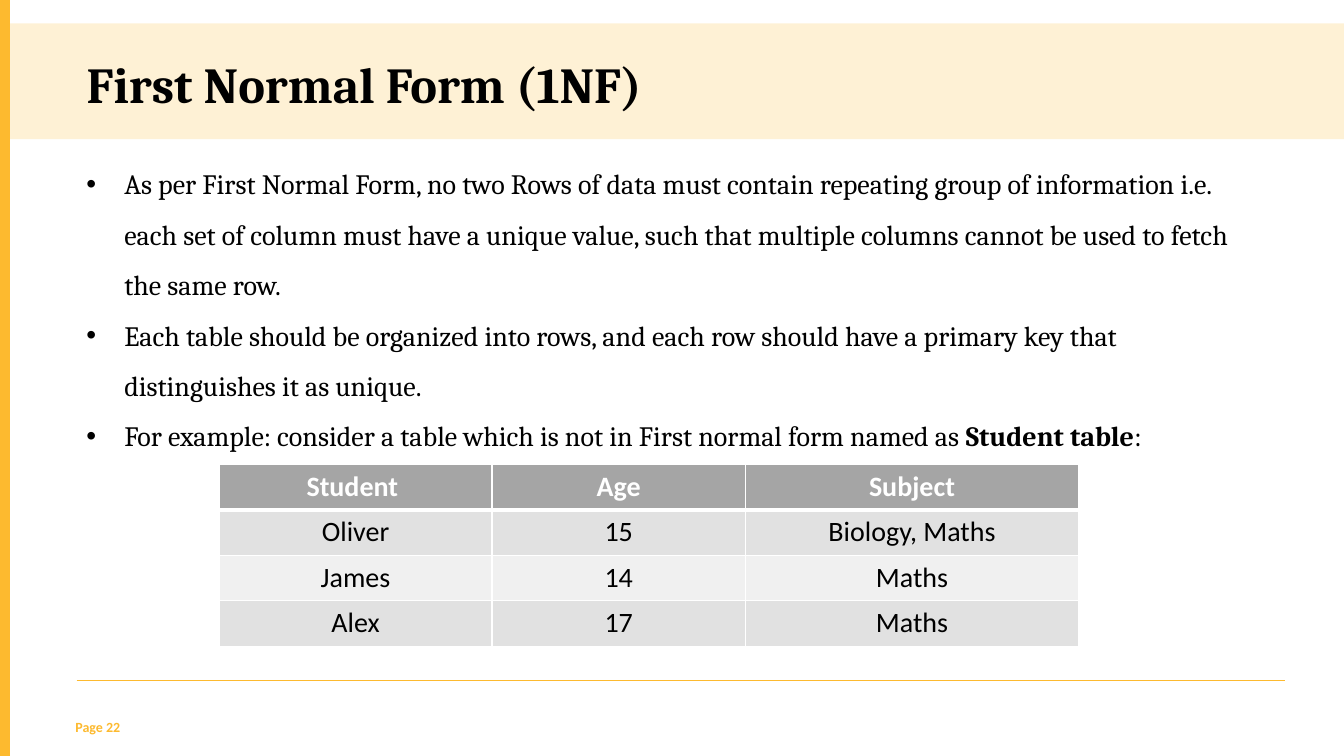
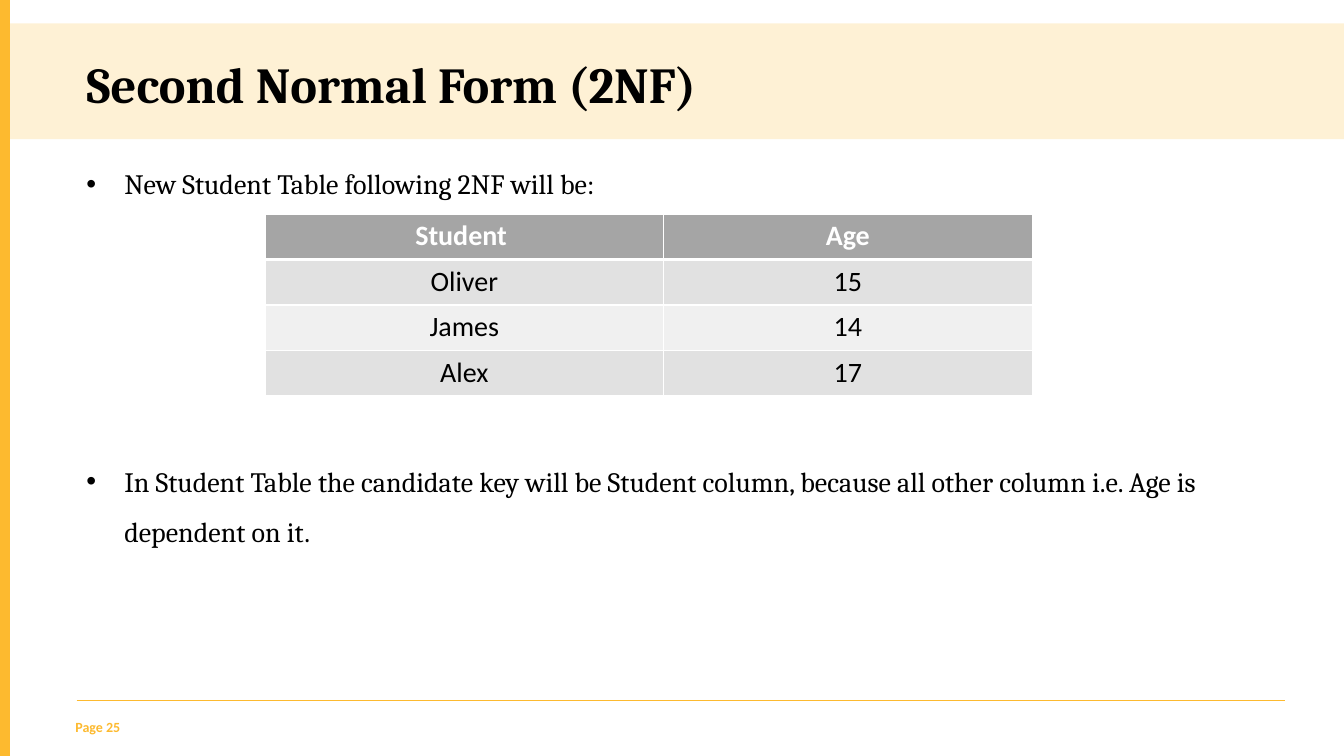
import pptx
import pptx.dml.color
import pptx.enum.shapes
import pptx.enum.text
import pptx.oxml
import pptx.oxml.ns
import pptx.util
from lxml import etree

Pt = pptx.util.Pt
qn = pptx.oxml.ns.qn

WIDTH, HEIGHT = 960, 540
LEFT = 54.7
INDENT = 27
ROW_HEIGHT = 32.4
GOLD, BLACK, WHITE = "FDBA2F", "000000", "FFFFFF"
HEADER_GREY, DARK_ROW, LIGHT_ROW = "A5A5A5", "E1E1E1", "F0F0F0"
SERIF, SANS = "Cambria", "Calibri"


def rgb(color):
    return pptx.dml.color.RGBColor.from_string(color)


class Deck:
    """Holds the shared style and the slide being built."""

    def __init__(self):
        self.prs = pptx.Presentation()
        self.prs.slide_width, self.prs.slide_height = Pt(WIDTH), Pt(HEIGHT)
        self.s = None

    def slide(self, title, page, rule_y):
        """Start a slide with its band, side bar, title and footer."""
        self.s = self.prs.slides.add_slide(self.prs.slide_layouts[6])
        self.rect(0, 16.6, WIDTH, 82.8, GOLD, opacity=20)
        self.rect(0, 0, 7, HEIGHT, GOLD)
        p = self.text(LEFT, 34.6, 589, 51).paragraphs[0]
        self.run(p, title, 36, SERIF, BLACK, True)
        p = self.text(46.8, 509.8, 57, 9.4).paragraphs[0]
        self.run(p, f"Page {page}", 10, SANS, GOLD, True)
        self.rule(rule_y)

    def rect(self, x, y, w, h, color, opacity=100):
        sp = self.s.shapes.add_shape(
            pptx.enum.shapes.MSO_SHAPE.RECTANGLE, Pt(x), Pt(y), Pt(w), Pt(h))
        sp.shadow.inherit = False
        sp.line.fill.background()
        sp.fill.solid()
        sp.fill.fore_color.rgb = rgb(color)
        if opacity < 100:
            clr = sp.fill._xPr.find(qn("a:solidFill"))[0]
            etree.SubElement(clr, qn("a:alpha"), val=str(opacity * 1000))

    def rule(self, y):
        line = self.s.shapes.add_connector(
            pptx.enum.shapes.MSO_CONNECTOR.STRAIGHT, Pt(LEFT), Pt(y), Pt(918), Pt(y))
        line.line.color.rgb = rgb(GOLD)
        line.line.width = Pt(0.5)
        etree.SubElement(line._element.spPr, qn("a:effectLst"))

    def text(self, x, y, w, h):
        tf = self.s.shapes.add_textbox(Pt(x), Pt(y), Pt(w), Pt(h)).text_frame
        tf.word_wrap = True
        return tf

    def run(self, p, text, size, font, color, bold=False):
        r = p.add_run()
        r.text = text
        r.font.size, r.font.name, r.font.bold = Pt(size), font, bold
        r.font.color.rgb = rgb(color)

    def bullets(self, y, w, h, items):
        """Each item is a list of texts; every second one is bold."""
        tf = self.text(LEFT, y, w, h)
        for i, item in enumerate(items):
            p = tf.add_paragraph() if i else tf.paragraphs[0]
            p.line_spacing = 1.5
            pPr = p._p.get_or_add_pPr()
            pPr.set("marL", str(Pt(INDENT)))
            pPr.set("indent", str(-Pt(INDENT)))
            etree.SubElement(pPr, qn("a:buFont"), typeface="Arial")
            etree.SubElement(pPr, qn("a:buChar"), char="•")
            for j, text in enumerate(item):
                self.run(p, text, 20, SERIF, BLACK, j % 2 == 1)

    def table(self, x, y, widths, rows):
        table = self.s.shapes.add_table(
            len(rows), len(widths), Pt(x), Pt(y),
            Pt(sum(widths)), Pt(ROW_HEIGHT * len(rows))).table
        for column, width in zip(table.columns, widths):
            column.width = Pt(width)
        for i, row in enumerate(rows):
            table.rows[i].height = Pt(ROW_HEIGHT)
            header = i == 0
            fill = HEADER_GREY if header else DARK_ROW if i % 2 else LIGHT_ROW
            for j, text in enumerate(row):
                cell = table.cell(i, j)
                self.borders(cell, top=3 if i == 1 else 1, bottom=3 if header else 1)
                cell.fill.solid()
                cell.fill.fore_color.rgb = rgb(fill)
                p = cell.text_frame.paragraphs[0]
                p.alignment = pptx.enum.text.PP_ALIGN.CENTER
                self.run(p, text, 20, SANS, WHITE if header else BLACK, header)

    def borders(self, cell, top, bottom):
        tcPr = cell._tc.get_or_add_tcPr()
        for side, width in (("L", 1), ("R", 1), ("T", top), ("B", bottom)):
            ln = etree.SubElement(tcPr, qn(f"a:ln{side}"), w=str(Pt(width)))
            fill = etree.SubElement(ln, qn("a:solidFill"))
            etree.SubElement(fill, qn("a:srgbClr"), val=WHITE)


def main():
    deck = Deck()

    deck.slide("First Normal Form (1NF)", 22, 486)
    deck.bullets(103.7, 844, 221, [
        ["As per First Normal Form, no two Rows of data must contain repeating "
         "group of information i.e. each set of column must have a unique value, "
         "such that multiple columns cannot be used to fetch the same row."],
        ["Each table should be organized into rows, and each row should have a "
         "primary key that distinguishes it as unique."],
        ["For example: consider a table which is not in First normal form named as ",
         "Student table", ":"],
    ])
    students = [("Student ", "Age", "Subject"), ("Oliver", "15", "Biology, Maths"),
                ("James", "14", "Maths"), ("Alex", "17", "Maths")]
    deck.table(156.5, 332, [195, 181, 238], students)

    deck.slide("Second Normal Form (2NF)", 25, 500.4)
    deck.bullets(103.7, 844, 39, [["New Student Table following 2NF will be:"]])
    deck.table(189.5, 153, [284.4, 263.5], [row[:2] for row in students])
    deck.bullets(316, 873, 75.6, [
        ["In Student Table the candidate key will be Student column, because all "
         "other column i.e. Age is dependent on it."]])

    deck.prs.save("out.pptx")


if __name__ == "__main__":
    main()
